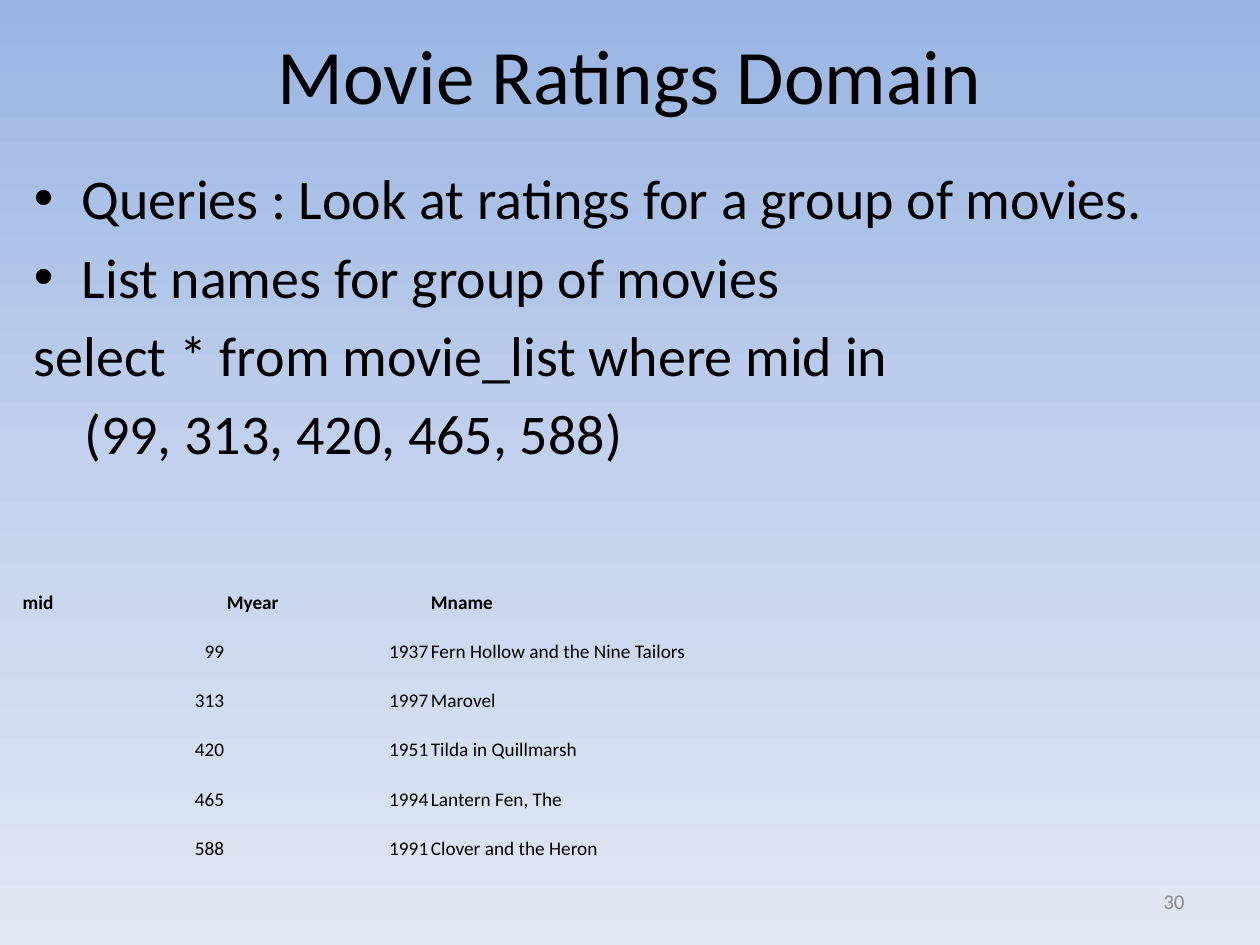
import copy

import pptx
import pptx.dml.color
import pptx.enum.text
import pptx.oxml
import pptx.oxml.ns
import pptx.util

Inches, Pt = pptx.util.Inches, pptx.util.Pt
RGBColor = pptx.dml.color.RGBColor
Align, Anchor = pptx.enum.text.PP_ALIGN, pptx.enum.text.MSO_ANCHOR

BLACK = RGBColor(0x00, 0x00, 0x00)
GREY = RGBColor(0x8C, 0x8C, 0x8C)
SKY = [RGBColor(0x9A, 0xB5, 0xE4), RGBColor(0xC2, 0xD1, 0xED), RGBColor(0xE1, 0xE8, 0xF5)]

BULLET_INDENT = 0.38
CODE_INDENT = 0.4
BODY_LINES = [
    ("Queries : Look at ratings for a group of movies.", BULLET_INDENT, True),
    ("List names for group of movies", BULLET_INDENT, True),
    ("select * from movie_list where mid in", 0, False),
    ("(99, 313, 420, 465, 588)", CODE_INDENT, False),
]
MOVIES = [
    ("mid", "Myear", "Mname"),
    ("99", "1937", "Fern Hollow and the Nine Tailors"),
    ("313", "1997", "Marovel"),
    ("420", "1951", "Tilda in Quillmarsh"),
    ("465", "1994", "Lantern Fen, The"),
    ("588", "1991", "Clover and the Heron"),
]
COLUMN_WIDTHS = [1.62, 1.62, 6.09]
HEADER_HEIGHT, ROW_HEIGHT = 0.21, 0.39


def set_all(target, values):
    for name, value in values.items():
        setattr(target, name, value)


def write(para, text, size, color=BLACK, bold=False, align=Align.LEFT):
    para.alignment = align
    span = para.add_run()
    span.text = text
    set_all(span.font, {"name": "Calibri", "size": Pt(size), "bold": bold})
    span.font.color.rgb = color


def place(shape, left, top, width, height):
    set_all(shape, {"left": Inches(left), "top": Inches(top),
                    "width": Inches(width), "height": Inches(height)})


def paint_background(page):
    """Fill the page with a three-stop gradient running from top to bottom."""
    fill = page.background.fill
    fill.gradient()
    fill.gradient_angle = 270
    first = page.background._cSld.find(".//" + pptx.oxml.ns.qn("a:gs"))
    middle = copy.deepcopy(first)
    middle.set("pos", "50000")
    first.addnext(middle)
    for stop, color in zip(fill.gradient_stops, SKY):
        stop.color.rgb = color


def add_title(page, text):
    title = page.shapes.title
    place(title, 0.5, 0.17, 9, 0.83)
    title.text_frame.vertical_anchor = Anchor.MIDDLE
    write(title.text_frame.paragraphs[0], text, 44, align=Align.CENTER)


def add_text_box(page, left, top, width, height, anchor):
    box = page.shapes.add_textbox(Inches(left), Inches(top), Inches(width), Inches(height))
    set_all(box.text_frame, {"word_wrap": True, "vertical_anchor": anchor})
    return box.text_frame


def indent(para, left, bulleted):
    properties = para._p.get_or_add_pPr()
    properties.set("marL", str(Inches(left)))
    properties.set("indent", str(-Inches(left) if bulleted else 0))
    if bulleted:
        namespace = pptx.oxml.ns.nsdecls("a")
        for tag in ('buFont typeface="Arial"', 'buChar char="•"'):
            properties.append(pptx.oxml.parse_xml(f"<a:{tag} {namespace}/>"))


def add_body(page):
    frame = add_text_box(page, 0.17, 1.25, 9.75, 2.92, Anchor.TOP)
    for number, (text, left, bulleted) in enumerate(BODY_LINES):
        para = frame.add_paragraph() if number else frame.paragraphs[0]
        para.space_before = Pt(6.4)
        indent(para, left, bulleted)
        write(para, text, 32)


def add_movie_table(page):
    height = HEADER_HEIGHT + ROW_HEIGHT * (len(MOVIES) - 1)
    table = page.shapes.add_table(
        len(MOVIES), len(COLUMN_WIDTHS), Inches(0.17), Inches(4.67),
        Inches(sum(COLUMN_WIDTHS)), Inches(height)).table
    set_all(table, {"first_row": False, "horz_banding": False})
    # "No Style, No Grid" leaves the cells without borders
    style = table._tbl.tblPr.find(pptx.oxml.ns.qn("a:tableStyleId"))
    style.text = "{2D5ABB26-0587-4C30-8999-92F81FD0307C}"
    for column, width in zip(table.columns, COLUMN_WIDTHS):
        column.width = Inches(width)
    for row_number, values in enumerate(MOVIES):
        header = row_number == 0
        table.rows[row_number].height = Inches(HEADER_HEIGHT if header else ROW_HEIGHT)
        for column_number, text in enumerate(values):
            cell = table.cell(row_number, column_number)
            cell.fill.background()
            set_all(cell, {"vertical_anchor": Anchor.BOTTOM,
                           "margin_left": Inches(0.01), "margin_right": Inches(0.01),
                           "margin_top": Inches(0.01), "margin_bottom": 0})
            align = Align.RIGHT if text.isdigit() else Align.LEFT
            write(cell.text_frame.paragraphs[0], text, 11, bold=header, align=align)


def add_page_number(page, number):
    frame = add_text_box(page, 7.17, 6.95, 2.33, 0.4, Anchor.MIDDLE)
    write(frame.paragraphs[0], number, 12, GREY, align=Align.RIGHT)


def main():
    deck = pptx.Presentation()
    set_all(deck, {"slide_width": Inches(10), "slide_height": Inches(7.5)})
    page = deck.slides.add_slide(deck.slide_layouts.get_by_name("Title Only"))
    paint_background(page)
    add_page_number(page, "30")
    add_title(page, "Movie Ratings Domain")
    add_body(page)
    add_movie_table(page)
    deck.save("out.pptx")


if __name__ == "__main__":
    main()
